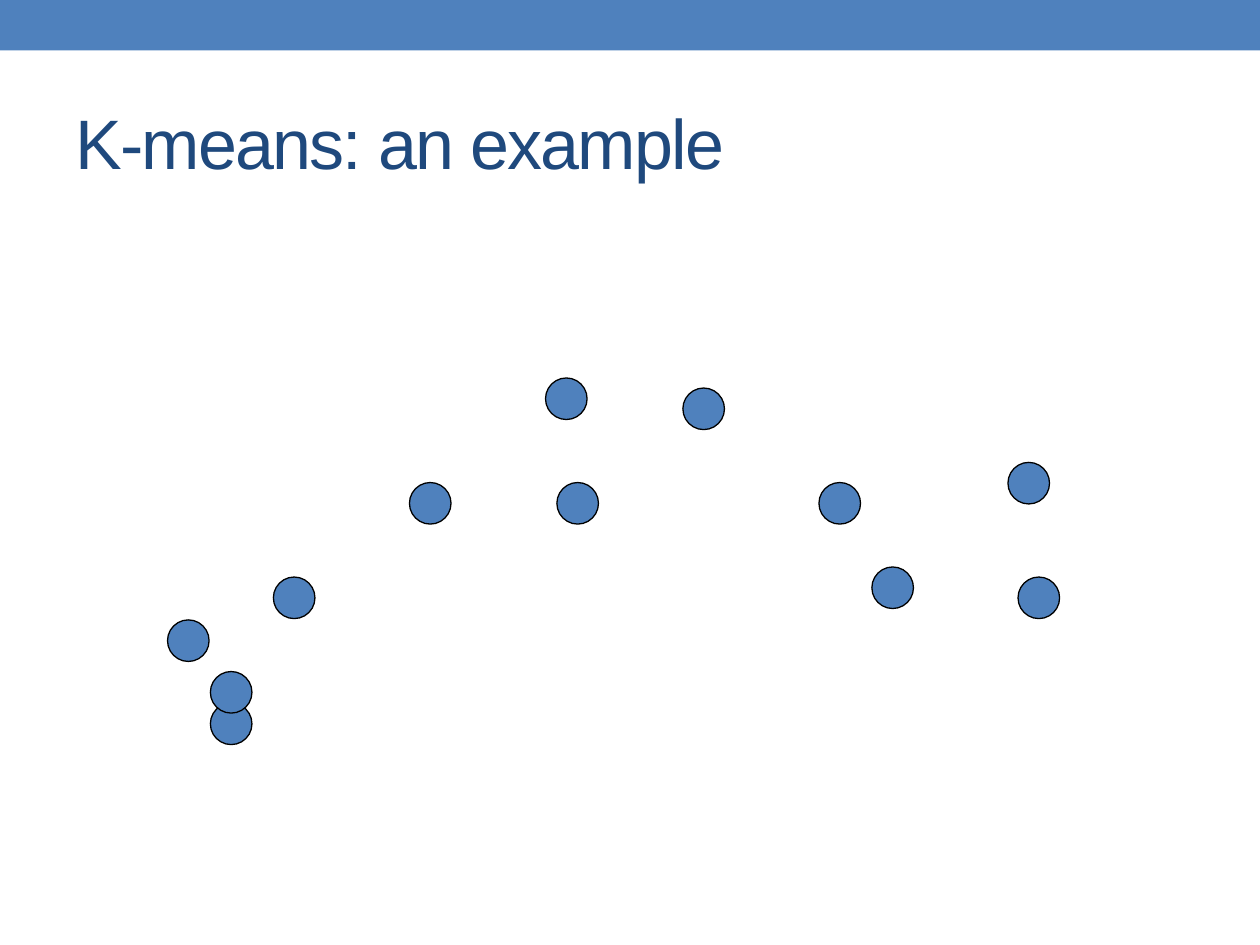
from pptx import Presentation
from pptx.dml.color import RGBColor
from pptx.enum import shapes, text
from pptx.util import Inches, Pt

TITLE = "K-means: an example"
COLORS = {"blue": "4F81BD", "navy": "1F497D", "outline": "000000"}
POINT_SIZE = 0.33
# Left and top of each data point, from back to front
POINTS = [
    (1.67, 5.58), (1.33, 4.92), (2.17, 4.58), (8, 3.67),
    (4.33, 3), (5.42, 3.08), (4.42, 3.83), (3.25, 3.83),
    (8.08, 4.58), (6.5, 3.83), (1.67, 5.33), (6.92, 4.5),
]


def color(name):
    return RGBColor.from_string(COLORS[name])


def add_blue_shape(slide, kind, left, top, width, height):
    shape = slide.shapes.add_shape(
        kind, Inches(left), Inches(top), Inches(width), Inches(height))
    shape.shadow.inherit = False
    shape.fill.solid()
    shape.fill.fore_color.rgb = color("blue")
    return shape


def main():
    prs = Presentation()
    prs.slide_width, prs.slide_height = Inches(10), Inches(7.5)
    slide = prs.slides.add_slide(prs.slide_layouts[6])

    # Top band
    band = add_blue_shape(slide, shapes.MSO_SHAPE.RECTANGLE, 0, 0, 10, 0.4)
    band.line.fill.background()

    # Title
    title = slide.shapes.add_textbox(
        Inches(0.5), Inches(0.58), Inches(9), Inches(1.08))
    frame = title.text_frame
    frame.word_wrap = True
    frame.vertical_anchor = text.MSO_ANCHOR.MIDDLE
    heading = frame.paragraphs[0]
    heading.text = TITLE
    heading.font.name = "Arial"
    heading.font.size = Pt(40)
    heading.font.color.rgb = color("navy")
    # Letter spacing of -1 pt, in hundredths of a point
    heading.runs[0].font._element.set("spc", "-100")

    # Data points
    for left, top in POINTS:
        point = add_blue_shape(
            slide, shapes.MSO_SHAPE.OVAL, left, top, POINT_SIZE, POINT_SIZE)
        point.line.color.rgb = color("outline")
        point.line.width = Pt(0.75)

    prs.save("out.pptx")


if __name__ == "__main__":
    main()
